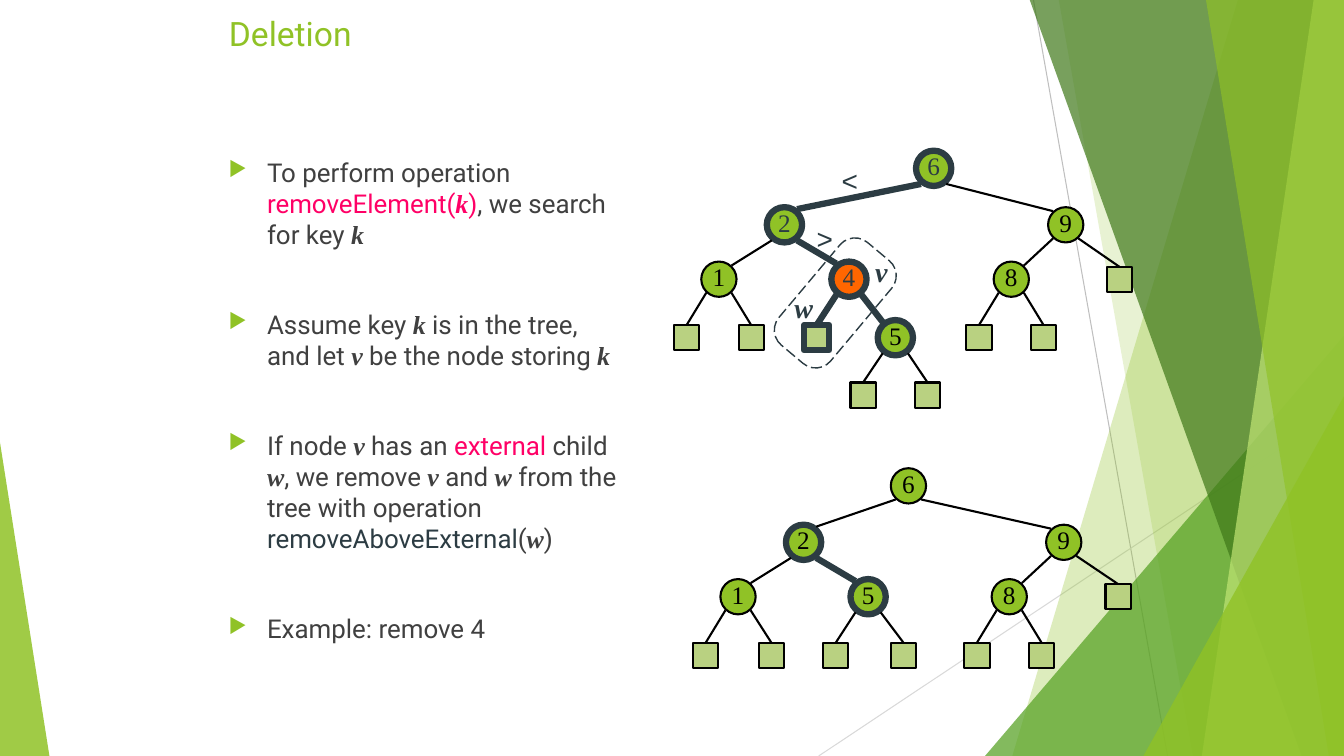
from dataclasses import dataclass

from lxml import etree
from pptx import Presentation
from pptx.dml.color import RGBColor
from pptx.enum import dml, shapes, text
from pptx.oxml import ns
from pptx.util import Inches, Pt


@dataclass(frozen=True)
class Theme:
    green: str = "90C226"
    leaf: str = "B9D181"
    orange: str = "FF6600"
    dark: str = "2C3C43"
    black: str = "000000"
    gray: str = "404040"
    pink: str = "FF0066"
    sans: str = "Roboto"
    serif: str = "Times New Roman"
    sign: str = "Arial"
    head: float = 24
    body: float = 18.5
    key: float = 18
    label: float = 20
    thin: float = 1.5
    thick: float = 4.5


@dataclass(frozen=True)
class Node:
    x: float
    key: str = ""
    kids: tuple = ()
    hot: bool = False
    ink: str = Theme.black
    fill: str = Theme.green


T = Theme()
ROWS = (0, 0.56, 1.1, 1.68, 2.25)
VAR = {"font": T.serif, "bold": True, "italic": True}
STYLES = {
    "body": {},
    "var": VAR,
    "pink": {"color": T.pink},
    "pinkvar": {**VAR, "color": T.pink},
    "dark": {"color": T.dark},
}
BULLETS = (
    (("To perform operation ", "body"), ("removeElement(", "pink"),
     ("k", "pinkvar"), (")", "pink"), (", we search for key ", "body"),
     ("k", "var")),
    (("Assume key ", "body"), ("k", "var"),
     (" is in the tree, and let ", "body"), ("v", "var"),
     (" be the node storing ", "body"), ("k", "var")),
    (("If node ", "body"), ("v", "var"), (" has an ", "body"),
     ("external", "pink"), (" child ", "body"), ("w", "var"),
     (", we remove ", "body"), ("v", "var"), (" and ", "body"),
     ("w", "var"), (" from the tree with operation ", "body"),
     ("removeAboveExternal", "dark"), ("(", "body"), ("w", "var"),
     (")", "body")),
    (("Example: remove 4", "body"),),
)


def rgb(code):
    return RGBColor.from_string(code)


def child(parent, tag, **attrs):
    return etree.SubElement(parent, ns.qn(tag), attrs)


def write(para, words, font=T.sans, size=T.body, color=T.gray,
          bold=False, italic=False):
    run = para.add_run()
    run.text = words
    face = run.font
    face.name, face.size = font, Pt(size)
    face.bold, face.italic = bold, italic
    face.color.rgb = rgb(color)


def paint(shape, fill=None, line=None, width=T.thin, alpha=100):
    shape.shadow.inherit = False
    if fill:
        shape.fill.solid()
        shape.fill.fore_color.rgb = rgb(fill)
        if alpha < 100:
            tint = shape.fill._xPr.find(".//" + ns.qn("a:srgbClr"))
            child(tint, "a:alpha", val=str(alpha * 1000))
    else:
        shape.fill.background()
    if line:
        shape.line.color.rgb = rgb(line)
        shape.line.width = Pt(width)
    else:
        shape.line.fill.background()


def block(slide, kind, box, **look):
    shape = slide.shapes.add_shape(kind, *map(Inches, box))
    paint(shape, **look)
    return shape


def link(slide, start, end, color=T.black, width=T.thin):
    line = slide.shapes.add_connector(
        shapes.MSO_CONNECTOR.STRAIGHT, *map(Inches, start + end))
    line.line.color.rgb = rgb(color)
    line.line.width = Pt(width)
    child(line._element.spPr, "a:effectLst")
    return line


def band(slide, points, fill, alpha):
    first, *rest = [tuple(map(Inches, spot)) for spot in points]
    form = slide.shapes.build_freeform(*first)
    form.add_line_segments(rest, close=True)
    paint(form.convert_to_shape(), fill, alpha=alpha)


def wedge(slide, box, tip, fill, alpha):
    shape = block(slide, shapes.MSO_SHAPE.ISOSCELES_TRIANGLE, box,
                  fill=fill, alpha=alpha)
    shape.adjustments[0] = tip


def decor(slide):
    link(slide, (10.25, 0), (11.58, 7.5), "BFBFBF", 0.75)
    link(slide, (13.33, 4.03), (8.12, 7.5), "D9D9D9", 0.75)

    def strip(top, foot, fill, alpha):
        band(slide, ((top, -0.01), (13.33, -0.01), (13.33, 7.5), (foot, 7.5)),
             fill, alpha)

    strip(12.28, 10.04, T.green, 30)
    strip(10.5, 11.83, T.green, 20)
    wedge(slide, (9.77, 3.33, 3.56, 4.17), 1, "54A021", 72)
    strip(10.21, 12.91, "3F7819", 70)
    strip(13.03, 11.92, "C0E474", 70)
    strip(11.96, 13.18, T.green, 65)
    wedge(slide, (11.34, 3.93, 1.99, 3.57), 1, T.green, 80)
    wedge(slide, (0, 4.39, 0.49, 3.11), 0, T.green, 85)


def title(slide, words):
    head = slide.shapes.title
    head.left, head.top, head.width, head.height = map(
        Inches, (2.17, 0.08, 9, 0.92))
    frame = head.text_frame
    frame.auto_size = text.MSO_AUTO_SIZE.NONE
    frame.vertical_anchor = text.MSO_ANCHOR.TOP
    para = frame.paragraphs[0]
    para.alignment = text.PP_ALIGN.LEFT
    write(para, words, size=T.head, color=T.green)


def bullets(slide, items, box):
    frame = slide.shapes.add_textbox(*map(Inches, box)).text_frame
    frame.word_wrap = True
    for spot, item in enumerate(items):
        para = frame.add_paragraph() if spot else frame.paragraphs[0]
        props = para._p.get_or_add_pPr()
        props.set("marL", str(Inches(0.38)))
        props.set("indent", str(Inches(-0.38)))
        child(child(props, "a:buClr"), "a:srgbClr", val=T.green)
        child(props, "a:buSzPct", val="80000")
        child(props, "a:buChar", char="▶")
        if spot:
            para.space_before = Pt(42)
        for words, style in item:
            write(para, words, **STYLES[style])


def label(slide, words, box, **style):
    frame = slide.shapes.add_textbox(*map(Inches, box)).text_frame
    frame.word_wrap = False
    write(frame.paragraphs[0], words, size=T.label, color=T.dark, **style)


def draw(slide, node, y):
    side = 0.35 if node.key else 0.25
    kind = shapes.MSO_SHAPE.OVAL if node.key else shapes.MSO_SHAPE.RECTANGLE
    shape = block(slide, kind, (node.x - side / 2, y - side / 2, side, side),
                  fill=node.fill if node.key else T.leaf,
                  line=T.dark if node.hot else T.black,
                  width=T.thick if node.hot else T.thin)
    if node.key:
        frame = shape.text_frame
        frame.margin_left = frame.margin_right = frame.margin_top = 0
        frame.margin_bottom = Inches(0.05)
        frame.word_wrap = False
        frame.vertical_anchor = text.MSO_ANCHOR.MIDDLE
        para = frame.paragraphs[0]
        para.alignment = text.PP_ALIGN.CENTER
        write(para, node.key, font=T.serif, size=T.key, color=node.ink)
    return shape


def tree(slide, node, top, depth=0):
    y = top + ROWS[depth]
    shape = draw(slide, node, y)
    for kid in node.kids:
        leaf = tree(slide, kid, top, depth + 1)
        way = 0.125 if kid.x > node.x else -0.125
        start = (node.x + way, y + (0.155 if node.hot else 0.135))
        end = (kid.x - (way if kid.key else 0),
               top + ROWS[depth + 1] - (0.155 if kid.hot else 0.135))
        look = (T.dark, T.thick) if node.hot and kid.hot else ()
        line = link(slide, start, end, *look)
        if not kid.key:
            line.end_connect(leaf, 0)
    return shape


def pair(x, key, left, right, **look):
    return Node(x, key, (Node(left), Node(right)), **look)


def before():
    seen = {"hot": True, "ink": T.dark}
    one = pair(7.13, "1", 6.81, 7.45)
    five = pair(8.88, "5", 8.56, 9.2, hot=True)
    four = Node(8.42, "4", (Node(8.1, hot=True), five), fill=T.orange, **seen)
    two = Node(7.78, "2", (one, four), **seen)
    eight = pair(10.03, "8", 9.71, 10.35)
    nine = Node(10.57, "9", (eight, Node(11.1)))
    return Node(9.26, "6", (two, nine), **seen)


def after():
    one = pair(7.32, "1", 7, 7.65)
    five = pair(8.61, "5", 8.29, 8.96, hot=True)
    two = Node(7.97, "2", (one, five), hot=True)
    eight = pair(10.01, "8", 9.69, 10.33)
    nine = Node(10.55, "9", (eight, Node(11.09)))
    return Node(9.01, "6", (two, nine))


def main():
    deck = Presentation()
    deck.slide_width, deck.slide_height = Inches(13.33), Inches(7.5)
    slide = deck.slides.add_slide(deck.slide_layouts[5])
    decor(slide)
    title(slide, "Deletion")
    bullets(slide, BULLETS, (2.17, 1.5, 4.08, 5.33))
    tree(slide, before(), 1.67)
    tree(slide, after(), 4.82)
    label(slide, "v", (8.58, 2.48, 0.32, 0.43), **VAR)
    label(slide, "w", (7.78, 2.83, 0.39, 0.43), **VAR)
    label(slide, "<", (8.25, 1.57, 0.35, 0.43), font=T.sign)
    label(slide, ">", (8, 2.15, 0.35, 0.43), font=T.sign)
    ring = block(slide, shapes.MSO_SHAPE.ROUNDED_RECTANGLE,
                 (7.62, 2.67, 1.33, 0.67), line=T.dark, width=1)
    ring.adjustments[0] = 0.29
    ring.rotation = 310
    ring.line.dash_style = dml.MSO_LINE.LONG_DASH
    deck.save("out.pptx")


if __name__ == "__main__":
    main()
